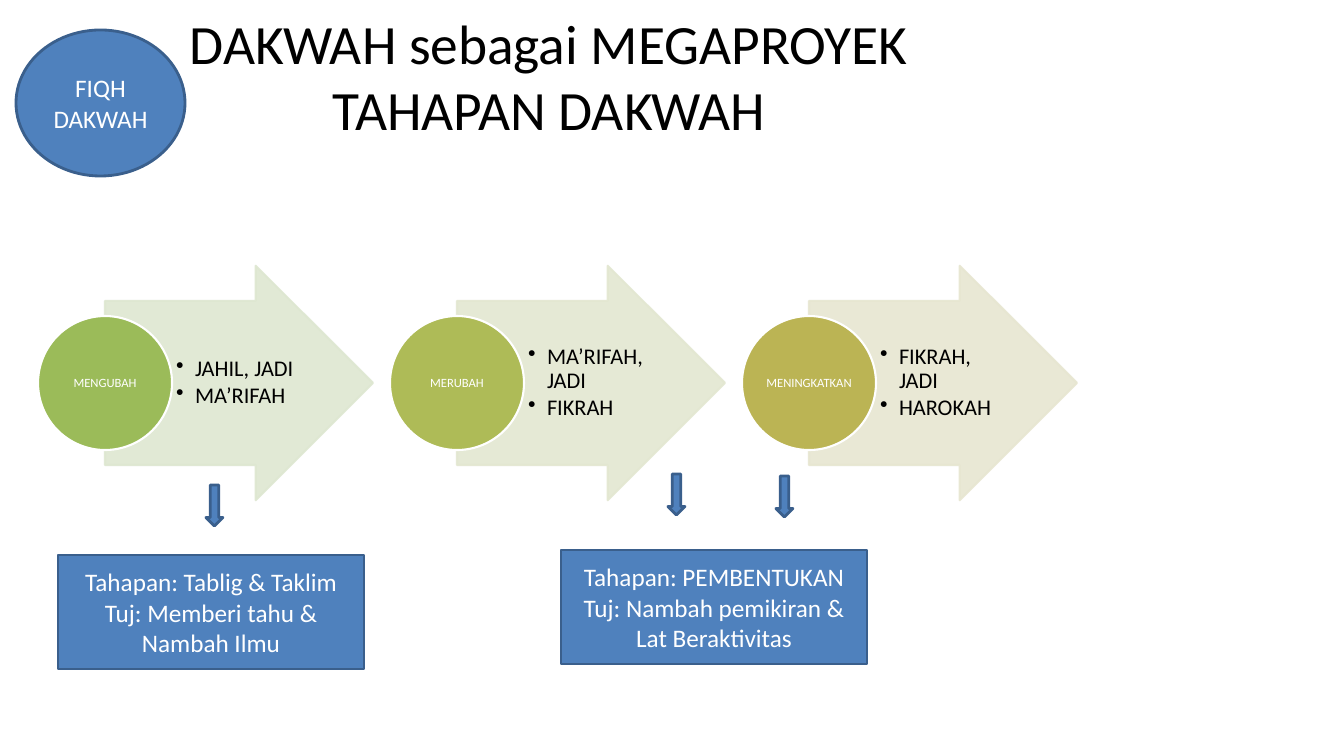
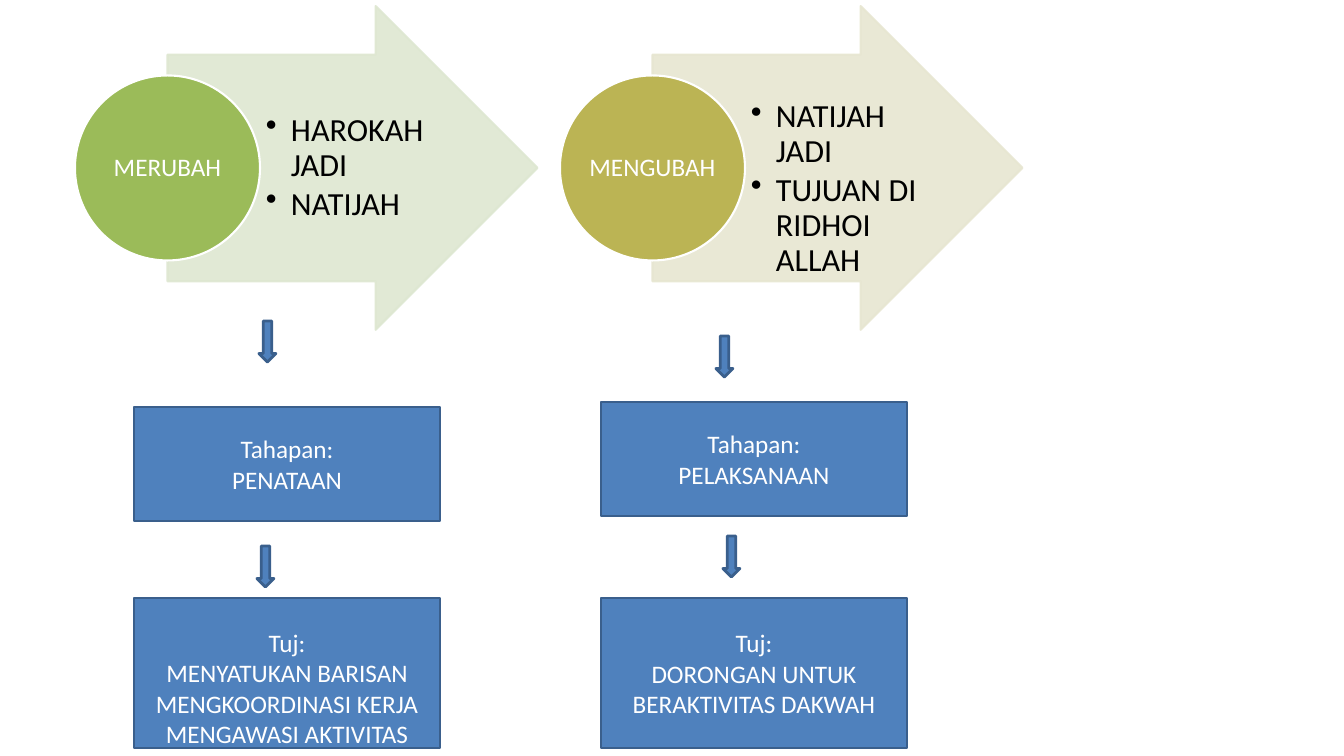
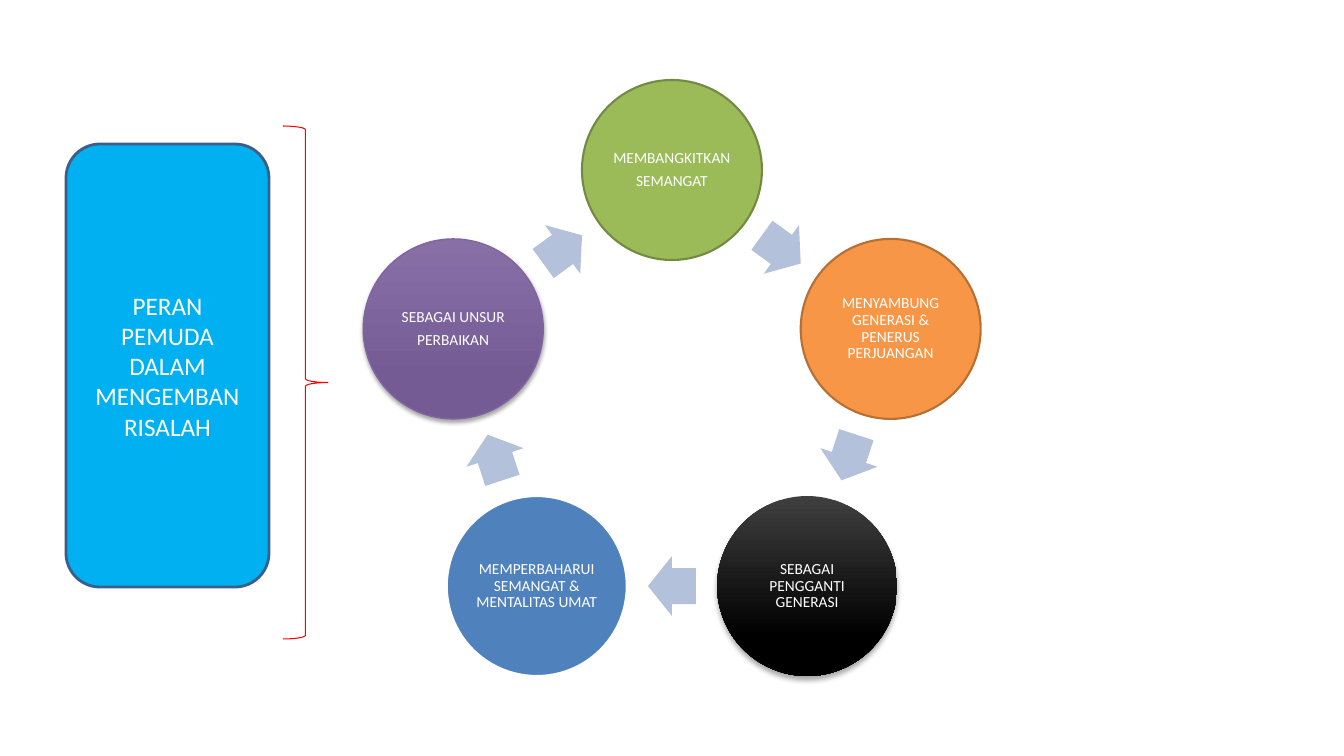
import dataclasses
import math
import typing

import lxml.etree
import pptx
import pptx.dml.color
import pptx.enum.shapes
import pptx.enum.text
import pptx.oxml.ns
import pptx.util

Shape = pptx.enum.shapes.MSO_SHAPE
Align = pptx.enum.text.PP_ALIGN
Anchor = pptx.enum.text.MSO_ANCHOR
qn = pptx.oxml.ns.qn

EMU_PER_PX = 12192000 / 1344


@dataclasses.dataclass(frozen=True)
class Theme:
    font: str = "Calibri"
    black: str = "000000"
    white: str = "FFFFFF"
    blue: str = "4F81BD"
    blue_edge: str = "3A5F8C"
    green: str = "9BBB59"
    green_edge: str = "738A42"
    lime: str = "AEBB57"
    olive: str = "BBB454"
    pale_green: str = "DEE7D1"
    pale_lime: str = "E3E7D1"
    pale_olive: str = "E7E6D1"
    orange: str = "F79646"
    orange_edge: str = "B76F34"
    charcoal: str = "3F3F3F"
    violet: str = "8870A7"
    violet_deep: str = "755B94"
    violet_edge: str = "8064A2"
    sky: str = "00B0F0"
    red: str = "FF0000"
    cycle_arrow: str = "B3C1DB"
    title_size: float = 39.6
    box_size: float = 18
    cycle_size: float = 11
    edge: float = 2
    thin_edge: float = 1.5


THEME = Theme()


class Area(typing.NamedTuple):
    left: float
    top: float
    width: float
    height: float


@dataclasses.dataclass(frozen=True)
class Look:
    fill: str | None = THEME.blue
    line: str | None = THEME.blue_edge
    line_width: float = THEME.edge
    fade_to: str | None = None
    opacity: int = 100
    shadow_blur: int = 0
    shadow_distance: int = 0


@dataclasses.dataclass(frozen=True)
class Stage:
    name: str
    items: tuple[str, ...]
    color: str
    pale: str
    list_drop: int = 0


@dataclasses.dataclass(frozen=True)
class StageRow:
    left: int
    middle: int
    pitch: int
    diameter: int
    name_size: int
    list_size: int
    indent: int
    list_gap: int
    stages: tuple[Stage, ...]


@dataclasses.dataclass(frozen=True)
class NoteBox:
    area: Area
    lines: tuple[str, ...]
    inset_top: int = 5
    inset_bottom: int = 5


@dataclasses.dataclass(frozen=True)
class Role:
    lines: tuple[str, ...]
    look: Look


STANDARD = Look()
CHANGE_ROW = StageRow(38, 383, 352, 134, 9, 16, 19, 2, (
    Stage("MENGUBAH", ("JAHIL, JADI", "MA’RIFAH"), THEME.green, THEME.pale_green),
    Stage("MERUBAH", ("MA’RIFAH, JADI", "FIKRAH"), THEME.lime, THEME.pale_lime),
    Stage("MENINGKATKAN", ("FIKRAH, JADI", "HAROKAH"), THEME.olive, THEME.pale_olive),
))
RESULT_ROW = StageRow(75, 168, 485, 185, 18, 23, 25, 3, (
    Stage("MERUBAH", ("HAROKAH JADI", "NATIJAH"), THEME.green, THEME.pale_green),
    Stage("MENGUBAH", ("NATIJAH JADI", "TUJUAN DI RIDHOI ALLAH"),
          THEME.olive, THEME.pale_olive, 21),
))
CHANGE_NOTES = (
    NoteBox(Area(58, 555, 306, 114),
            ("Tahapan: Tablig & Taklim", "Tuj: Memberi tahu & Nambah Ilmu")),
    NoteBox(Area(561, 550, 306, 114),
            ("Tahapan: PEMBENTUKAN", "Tuj: Nambah pemikiran & Lat Beraktivitas")),
)
RESULT_NOTES = (
    NoteBox(Area(134, 407, 306, 114), ("Tahapan:", "PENATAAN")),
    NoteBox(Area(134, 598, 306, 150),
            ("Tuj:", "MENYATUKAN BARISAN", "MENGKOORDINASI KERJA", "MENGAWASI AKTIVITAS"),
            30, 0),
    NoteBox(Area(601, 402, 306, 114), ("Tahapan:", "PELAKSANAAN")),
    NoteBox(Area(601, 598, 306, 150), ("Tuj:", "DORONGAN UNTUK BERAKTIVITAS DAKWAH")),
)
CHANGE_POINTERS = ((206, 485), (668, 474), (776, 476))
RESULT_POINTERS = ((259, 321), (257, 546), (716, 336), (723, 536))
ROLES = (
    Role(("MEMBANGKITKAN", "SEMANGAT"),
         Look(THEME.green, THEME.green_edge, THEME.thin_edge)),
    Role(("MENYAMBUNG GENERASI & PENERUS PERJUANGAN",),
         Look(THEME.orange, THEME.orange_edge, THEME.thin_edge)),
    Role(("SEBAGAI PENGGANTI GENERASI",),
         Look(THEME.charcoal, None, fade_to=THEME.black, shadow_blur=4, shadow_distance=3)),
    Role(("MEMPERBAHARUI SEMANGAT & MENTALITAS UMAT",),
         Look(THEME.blue, THEME.white, THEME.thin_edge)),
    Role(("SEBAGAI UNSUR", "PERBAIKAN"),
         Look(THEME.violet, THEME.violet_edge, 1, fade_to=THEME.violet_deep,
              shadow_blur=3, shadow_distance=2)),
)


def px(length: float) -> int:
    return round(length * EMU_PER_PX)


def rgb(color: str) -> pptx.dml.color.RGBColor:
    return pptx.dml.color.RGBColor.from_string(color)


def add_bullet(para, indent: int) -> None:
    properties = para._p.get_or_add_pPr()
    properties.set("marL", str(px(indent)))
    properties.set("indent", str(-px(indent)))
    lxml.etree.SubElement(properties, qn("a:buChar")).set("char", "•")


def write(frame, lines: typing.Sequence[str], *, size: float, color: str = THEME.white,
          align=Align.CENTER, insets: tuple[int, int, int, int] = (10, 5, 10, 5),
          line_spacing: float = 1.0, gap: int = 0, indent: int = 0) -> None:
    frame.word_wrap = True
    frame.auto_size = pptx.enum.text.MSO_AUTO_SIZE.NONE
    frame.vertical_anchor = Anchor.MIDDLE
    frame.margin_left, frame.margin_top, frame.margin_right, frame.margin_bottom = map(px, insets)
    for index, line in enumerate(lines):
        para = frame.add_paragraph() if index else frame.paragraphs[0]
        para.alignment = align
        para.line_spacing = line_spacing
        if gap and index < len(lines) - 1:
            para.space_after = pptx.util.Pt(gap)
        if indent:
            add_bullet(para, indent)
        span = para.add_run()
        span.text = line
        span.font.name = THEME.font
        span.font.size = pptx.util.Pt(size)
        span.font.color.rgb = rgb(color)


def set_opacity(shape, percent: int) -> None:
    for color in shape._element.spPr.iter(qn("a:srgbClr")):
        lxml.etree.SubElement(color, qn("a:alpha")).set("val", str(percent * 1000))


def add_shadow(shape, look: Look) -> None:
    effects = shape._element.spPr.find(qn("a:effectLst"))
    shadow = lxml.etree.SubElement(effects, qn("a:outerShdw"))
    shadow.set("blurRad", str(pptx.util.Pt(look.shadow_blur)))
    shadow.set("dist", str(pptx.util.Pt(look.shadow_distance)))
    shadow.set("dir", "5400000")
    shadow.set("rotWithShape", "0")
    color = lxml.etree.SubElement(shadow, qn("a:srgbClr"))
    color.set("val", THEME.black)
    lxml.etree.SubElement(color, qn("a:alpha")).set("val", "35000")


def draw_shape(page, kind, area: Area, look: Look = STANDARD,
               adjustments: tuple[float, ...] = (), rotation: float = 0):
    shape = page.shapes.add_shape(kind, *map(px, area))
    shape.shadow.inherit = False
    shape.rotation = rotation
    for index, value in enumerate(adjustments):
        shape.adjustments[index] = value
    if look.fill is None:
        shape.fill.background()
    elif look.fade_to:
        shape.fill.gradient()
        shape.fill.gradient_angle = 270
        stops = shape.fill.gradient_stops
        for stop, color, position in zip(stops, (look.fill, look.fade_to), (0, 0.78)):
            stop.color.rgb = rgb(color)
            stop.position = position
    else:
        shape.fill.solid()
        shape.fill.fore_color.rgb = rgb(look.fill)
    if look.line is None:
        shape.line.fill.background()
    else:
        shape.line.color.rgb = rgb(look.line)
        shape.line.width = pptx.util.Pt(look.line_width)
    if look.opacity < 100:
        set_opacity(shape, look.opacity)
    if look.shadow_blur:
        add_shadow(shape, look)
    return shape


def draw_stages(page, row: StageRow) -> None:
    size = row.diameter
    arrow_height = 1.75 * size
    list_height = 1.22 * size
    for index, stage in enumerate(row.stages):
        left = row.left + index * row.pitch
        draw_shape(page, Shape.RIGHT_ARROW,
                   Area(left + size / 2, row.middle - arrow_height / 2, 2 * size, arrow_height),
                   Look(stage.pale, stage.pale, THEME.thin_edge, opacity=90), (0.7, 0.5))
        list_area = Area(left + size, row.middle - list_height / 2 + stage.list_drop,
                         0.98 * size, list_height)
        box = page.shapes.add_textbox(*map(px, list_area))
        write(box.text_frame, stage.items, size=row.list_size, color=THEME.black,
              align=Align.LEFT, insets=(row.indent // 4, 1, 2, 1), line_spacing=0.9,
              gap=row.list_gap, indent=row.indent)
        circle = draw_shape(page, Shape.OVAL, Area(left, row.middle - size / 2, size, size),
                            Look(stage.color, THEME.white, THEME.thin_edge))
        write(circle.text_frame, (stage.name,), size=row.name_size,
              insets=(1, 1, 1, 1), line_spacing=0.9)


def draw_notes(page, notes: typing.Sequence[NoteBox]) -> None:
    for note in notes:
        box = draw_shape(page, Shape.RECTANGLE, note.area)
        write(box.text_frame, note.lines, size=THEME.box_size,
              insets=(10, note.inset_top, 10, note.inset_bottom))


def draw_pointers(page, corners: typing.Sequence[tuple[int, int]]) -> None:
    for left, top in corners:
        draw_shape(page, Shape.DOWN_ARROW, Area(left, top, 17, 41))


def centred(center_x: int, center_y: int, radius: float, degrees: float,
            width: int, height: int) -> Area:
    angle = math.radians(degrees)
    return Area(center_x + radius * math.sin(angle) - width / 2,
                center_y - radius * math.cos(angle) - height / 2, width, height)


def draw_cycle(page, center_x: int, center_y: int, radius: int) -> None:
    step = 360 / len(ROLES)
    arrow_radius = radius * math.cos(math.radians(step / 2))
    for index, role in enumerate(ROLES):
        degrees = index * step
        circle = draw_shape(page, Shape.OVAL,
                            centred(center_x, center_y, radius, degrees, 180, 180), role.look)
        write(circle.text_frame, role.lines, size=THEME.cycle_size,
              insets=(2, 2, 2, 2), line_spacing=0.9, gap=4)
        turn = degrees + step / 2
        draw_shape(page, Shape.RIGHT_ARROW,
                   centred(center_x, center_y, arrow_radius, turn, 48, 60),
                   Look(THEME.cycle_arrow, None), (0.6, 0.5), turn)


def build_change_page(deck) -> None:
    page = deck.slides.add_slide(deck.slide_layouts[5])
    title = page.shapes.title
    title.left, title.top, title.width, title.height = map(px, Area(75, 3, 948, 145))
    write(title.text_frame, ("DAKWAH sebagai MEGAPROYEK", "TAHAPAN DAKWAH"),
          size=THEME.title_size, color=THEME.black)
    draw_stages(page, CHANGE_ROW)
    topic = draw_shape(page, Shape.OVAL, Area(16, 30, 169, 146))
    write(topic.text_frame, ("FIQH DAKWAH",), size=THEME.box_size)
    draw_notes(page, CHANGE_NOTES)
    draw_pointers(page, CHANGE_POINTERS)


def build_result_page(deck) -> None:
    page = deck.slides.add_slide(deck.slide_layouts[6])
    draw_stages(page, RESULT_ROW)
    draw_notes(page, RESULT_NOTES)
    draw_pointers(page, RESULT_POINTERS)


def build_role_page(deck) -> None:
    page = deck.slides.add_slide(deck.slide_layouts[6])
    draw_cycle(page, 672, 400, 230)
    panel = draw_shape(page, Shape.ROUNDED_RECTANGLE, Area(66, 144, 203, 443), Look(THEME.sky))
    write(panel.text_frame, ("PERAN", "PEMUDA", "DALAM", "MENGEMBAN", "RISALAH"),
          size=THEME.box_size)
    draw_shape(page, Shape.RIGHT_BRACE, Area(283, 126, 45, 513), Look(None, THEME.red, 0.75))


def main() -> None:
    deck = pptx.Presentation()
    deck.slide_width, deck.slide_height = px(1344), px(756)
    build_change_page(deck)
    build_result_page(deck)
    build_role_page(deck)
    deck.save("out.pptx")


if __name__ == "__main__":
    main()
